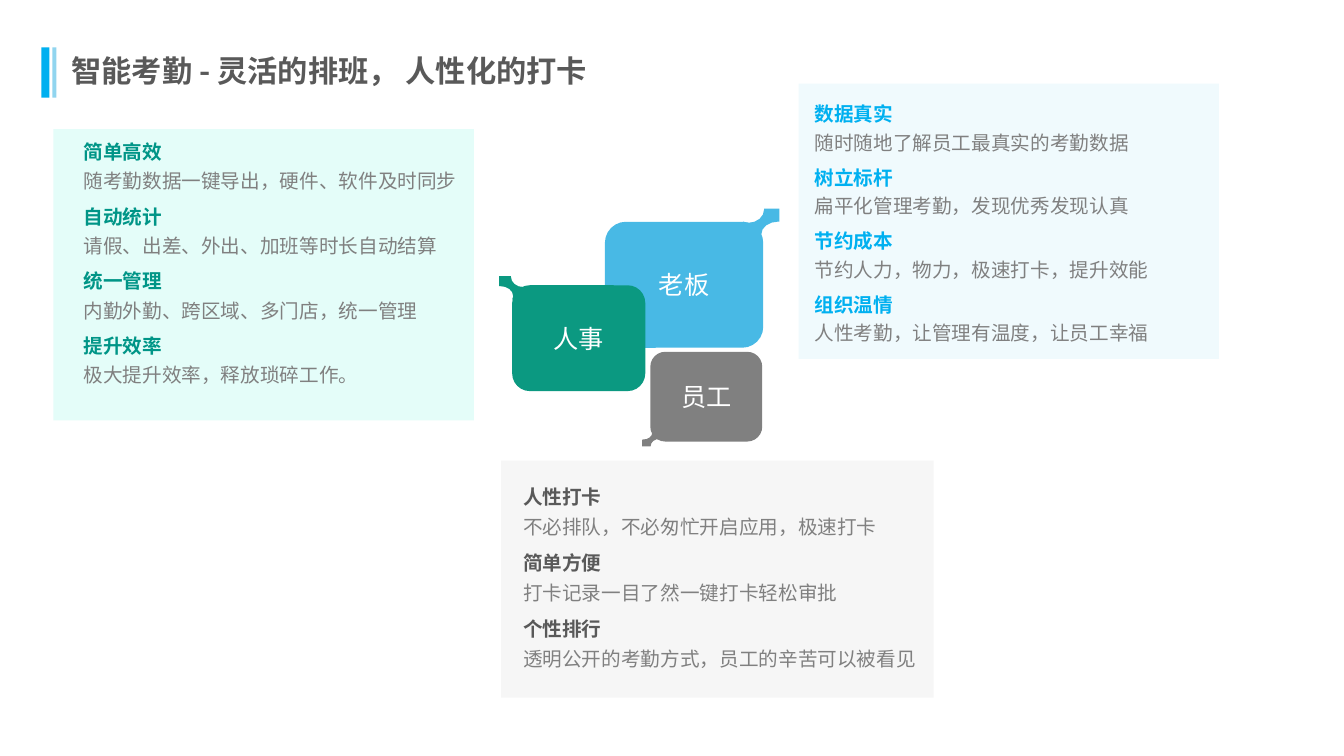
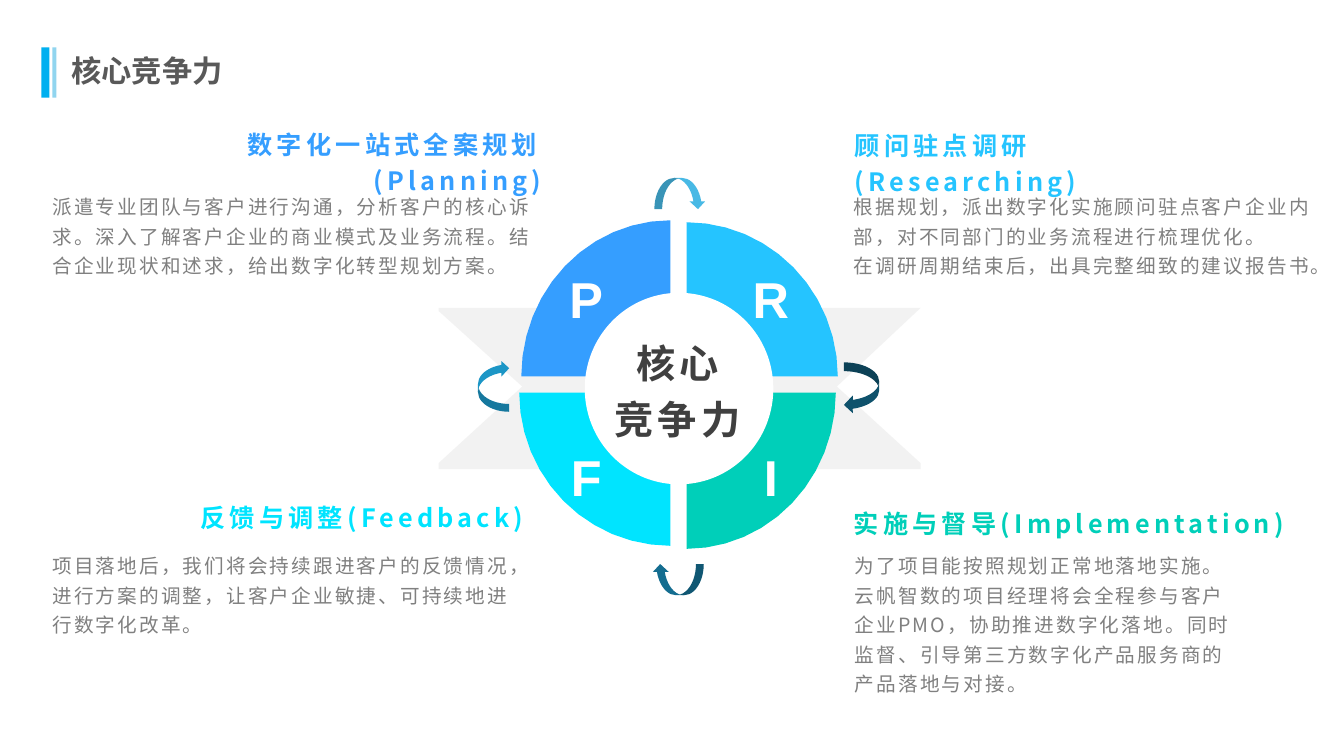
from collections import namedtuple
from dataclasses import dataclass
from math import cos, pi, sin

from lxml.etree import SubElement
from pptx import Presentation
from pptx.dml.color import RGBColor
from pptx.enum.shapes import MSO_SHAPE as Shape
from pptx.enum.text import MSO_ANCHOR as Anchor, MSO_AUTO_SIZE as AutoSize, PP_ALIGN as Align
from pptx.oxml.ns import qn
from pptx.util import Inches, Pt

Box = namedtuple("Box", "left top width height")


@dataclass(frozen=True)
class Theme:
    sans: str = "Noto Sans CJK SC"
    latin: str = "Arial"
    title_size: float = 21.6
    body_size: int = 14
    label_size: int = 18
    hub_size: int = 28
    letter_size: int = 36
    white: str = "FFFFFF"
    dark: str = "595959"
    hub: str = "404040"
    gray: str = "808080"
    band: str = "00B0F0"
    band_light: str = "91D5EF"
    boss: str = "48B9E5"
    hr: str = "0B9981"
    hr_heading: str = "009587"
    boss_panel: str = "F0FAFD"
    hr_panel: str = "E4FDF9"
    staff_panel: str = "F6F6F6"
    ribbon: str = "F2F2F2"
    planning: str = "359EFF"
    researching: str = "25C4FF"
    feedback: str = "00E4FF"
    implementation: str = "00CFB9"
    arrow_right: str = "0F526C"
    arrow_bottom: str = "146D90"
    arrow_left: str = "1C96C6"


THEME = Theme()


# Basic parts
def paint(shape, color):
    shape.shadow.inherit = False
    shape.fill.solid()
    shape.fill.fore_color.rgb = RGBColor.from_string(color)
    shape.line.fill.background()
    return shape


def add_block(page, kind, box, color, rotation=0):
    shape = paint(page.shapes.add_shape(kind, *map(Inches, box)), color)
    shape.rotation = rotation
    return shape


def add_outline(page, points, color):
    start, *others = [(Inches(x), Inches(y)) for x, y in points]
    builder = page.shapes.build_freeform(*start)
    builder.add_line_segments(others, close=True)
    return paint(builder.convert_to_shape(), color)


def bezier(start, first, second, end, steps=4):
    """Points along a cubic curve, without its start."""
    curve = []
    for step in range(1, steps + 1):
        t = step / steps
        weights = ((1 - t) ** 3, 3 * t * (1 - t) ** 2, 3 * t * t * (1 - t), t ** 3)
        curve.append(tuple(sum(w * p[axis] for w, p in zip(weights, (start, first, second, end)))
                           for axis in (0, 1)))
    return curve


def write_para(para, text, size=THEME.body_size, color=THEME.gray, bold=False, font=THEME.sans,
               align=Align.LEFT, line_spacing=1.0, tracking=0):
    para.alignment = align
    para.line_spacing = line_spacing
    span = para.add_run()
    span.text = text
    span.font.size = Pt(size)
    span.font.bold = bold
    span.font.color.rgb = RGBColor.from_string(color)
    span.font.name = font
    props = span.font._element
    SubElement(props, qn("a:ea")).set("typeface", font)
    if tracking:
        props.set("spc", str(int(tracking * 100)))


def fill_frame(frame, texts, anchor=Anchor.TOP, insets=(0.1, 0.05, 0.1, 0.05), grow=False,
               **style):
    """Write texts, each a string or a pair of string and own format."""
    frame.word_wrap = True
    frame.auto_size = AutoSize.SHAPE_TO_FIT_TEXT if grow else AutoSize.NONE
    frame.vertical_anchor = anchor
    (frame.margin_left, frame.margin_top,
     frame.margin_right, frame.margin_bottom) = map(Inches, insets)
    for index, item in enumerate(texts):
        text, own = (item, {}) if isinstance(item, str) else item
        para = frame.add_paragraph() if index else frame.paragraphs[0]
        write_para(para, text, **{**style, **own})


def add_text(page, box, *texts, **style):
    fill_frame(page.shapes.add_textbox(*map(Inches, box)).text_frame, texts, **style)


def add_page(deck, title):
    page = deck.slides.add_slide(deck.slide_layouts[6])
    add_block(page, Shape.RECTANGLE, Box(0.52, 0.47, 0.04, 0.5), THEME.band_light)
    add_block(page, Shape.RECTANGLE, Box(0.41, 0.47, 0.08, 0.5), THEME.band)
    add_text(page, Box(0.61, 0.46, 10.26, 0.48), title, size=THEME.title_size,
             color=THEME.dark, bold=True, anchor=Anchor.MIDDLE)
    return page


# Attendance slide
def add_panel(page, box, fill, accent, offset, spacing, entries):
    add_block(page, Shape.RECTANGLE, box, fill)
    dx, dy = offset
    texts = []
    for index, (heading, detail) in enumerate(entries):
        heading_spacing = 1.5 if index else spacing
        texts.append((heading, dict(color=accent, bold=True, line_spacing=heading_spacing)))
        texts.append((detail, dict(line_spacing=spacing)))
    add_text(page, Box(box.left + dx, box.top + dy, box.width - dx, box.height), *texts)


def add_tile(page, box, label, color):
    tile = add_block(page, Shape.ROUNDED_RECTANGLE, box, color)
    fill_frame(tile.text_frame, [label], anchor=Anchor.MIDDLE, align=Align.CENTER,
               size=THEME.label_size, color=THEME.white)


def add_flare(page, box, color, flip_x=False, flip_y=False):
    """A curved link that points up and right unless flipped."""
    unit = [(0.58, 0), (1, 0), (1, 0.43), (0.97, 0.43)]
    unit += bezier(unit[-1], (0.72, 0.43), (0.5, 0.6), (0.5, 0.87))
    unit += [(0.53, 1), (0, 1), (0, 0.43), (0.14, 0.47)]
    unit += bezier(unit[-1], (0.39, 0.47), (0.58, 0.27), (0.58, 0.03))
    points = [(box.left + box.width * (1 - x if flip_x else x),
               box.top + box.height * (1 - y if flip_y else y)) for x, y in unit]
    add_outline(page, points, color)


def build_attendance(deck):
    page = add_page(deck, "智能考勤 - 灵活的排班， 人性化的打卡")

    # Text panels
    add_panel(page, Box(4.97, 4.57, 4.29, 2.35), THEME.staff_panel, THEME.dark, (0.12, 0.12), 1.3, [
        ("人性打卡", "不必排队，不必匆忙开启应用，极速打卡"),
        ("简单方便", "打卡记录一目了然一键打卡轻松审批"),
        ("个性排行", "透明公开的考勤方式，员工的辛苦可以被看见"),
    ])
    add_panel(page, Box(0.53, 1.28, 4.17, 2.89), THEME.hr_panel, THEME.hr_heading, (0.2, 0), 1.25, [
        ("简单高效", "随考勤数据一键导出，硬件、软件及时同步"),
        ("自动统计", "请假、出差、外出、加班等时长自动结算"),
        ("统一管理", "内勤外勤、跨区域、多门店，统一管理"),
        ("提升效率", "极大提升效率，释放琐碎工作。"),
    ])
    add_panel(page, Box(7.92, 0.83, 4.17, 2.73), THEME.boss_panel, THEME.band, (0.06, 0.09), 1.2, [
        ("数据真实", "随时随地了解员工最真实的考勤数据"),
        ("树立标杆", "扁平化管理考勤，发现优秀发现认真"),
        ("节约成本", "节约人力，物力，极速打卡，提升效能"),
        ("组织温情", "人性考勤，让管理有温度，让员工幸福"),
    ])

    # Role tiles and their links
    add_tile(page, Box(6, 2.2, 1.57, 1.25), "老板", THEME.boss)
    add_tile(page, Box(5.08, 2.83, 1.32, 1.05), "人事", THEME.hr)
    add_tile(page, Box(6.45, 3.49, 1.11, 0.89), "员工", THEME.gray)
    add_flare(page, Box(7.37, 2.07, 0.36, 0.3), THEME.boss)
    add_flare(page, Box(4.95, 2.74, 0.28, 0.23), THEME.hr, flip_x=True)
    add_flare(page, Box(6.37, 4.27, 0.2, 0.16), THEME.gray, flip_x=True, flip_y=True)


# Strengths slide
def add_topic(page, box, heading, color, heading_left, heading_width, rise, *details,
              align=Align.LEFT):
    """Body text in the box, with its heading above by the given rise."""
    add_text(page, box, *details, line_spacing=1.25, tracking=1.5, insets=(0.1, 0, 0.1, 0.05))
    add_text(page, Box(heading_left, box.top - rise, heading_width, 0.41), heading,
             size=THEME.label_size, color=color, bold=True, tracking=3, line_spacing=1.2,
             align=align, anchor=Anchor.MIDDLE, insets=(0.1, 0.05, 0.1, 0), grow=True)


def add_quarter(page, corner, reach, color):
    """A quarter disc; the signs of reach set its direction from the corner."""
    (x, y), (rx, ry) = corner, reach
    steps = 12
    angles = [pi / 2 * step / steps for step in range(steps + 1)]
    add_outline(page, [corner] + [(x + rx * cos(a), y + ry * sin(a)) for a in angles], color)


def add_wheel(page, box):
    """Ribbon, four quarters, hub and turning arrows around the box centre."""
    cx, cy = box.left + box.width / 2, box.top + box.height / 2
    gap = 0.08

    # Ribbon with notched ends
    half_width, half_height, notch = 2.39, 0.8, 0.83
    ribbon_x, ribbon_y = cx + 0.01, cy + 0.04
    right, left = ribbon_x + half_width, ribbon_x - half_width
    top, bottom = ribbon_y - half_height, ribbon_y + half_height
    middle = ribbon_y - 0.02
    add_outline(page, [
        (left, top), (right, top), (right - notch, middle), (right, bottom - 0.06),
        (right, bottom), (left, bottom), (left, bottom - 0.06), (left + notch, middle),
        (left, top + 0.03)], THEME.ribbon)

    # Quarters
    quarters = [
        ("P", -1, -1, 1.48, 1.55, THEME.planning),
        ("R", 1, -1, 1.5, 1.53, THEME.researching),
        ("F", -1, 1, 1.5, 1.52, THEME.feedback),
        ("I", 1, 1, 1.48, 1.55, THEME.implementation),
    ]
    for _, sx, sy, rx, ry, color in quarters:
        add_quarter(page, (cx + sx * gap, cy + sy * gap), (sx * rx, sy * ry), color)

    # Hub and letters
    add_block(page, Shape.OVAL, Box(cx - 0.93, cy - 0.91, 1.87, 1.9), THEME.white)
    for letter, sx, sy, *_ in quarters:
        add_text(page, Box(cx + sx * 0.915 - 0.485, cy + 0.03 + sy * 0.885 - 0.35, 0.97, 0.7),
                 letter, size=THEME.letter_size, color=THEME.white, bold=True,
                 font=THEME.latin, align=Align.CENTER, anchor=Anchor.MIDDLE)
    add_text(page, Box(cx - 0.82, cy - 0.5, 1.62, 1.03), "核心", "竞争力",
             size=THEME.hub_size, color=THEME.hub, bold=True, tracking=3, line_spacing=1.2,
             align=Align.CENTER, anchor=Anchor.MIDDLE)

    # Turning arrows, clockwise from the top
    for index, (dx, dy, height, color) in enumerate([
            (-0.24, -2.05, 0.31, THEME.boss), (1.56, -0.14, 0.35, THEME.arrow_right),
            (-0.26, 1.78, 0.31, THEME.arrow_bottom), (-2.09, -0.14, 0.31, THEME.arrow_left)]):
        add_block(page, Shape.CURVED_DOWN_ARROW, Box(cx + dx, cy + dy, 0.51, height), color,
                  rotation=90 * index)


def build_strengths(deck):
    page = add_page(deck, "核心竞争力")
    add_topic(page, Box(8.37, 1.88, 4.79, 0.84), "顾问驻点调研(Researching)",
              THEME.researching, 8.38, 4.04, 0.52,
              "根据规划，派出数字化实施顾问驻点客户企业内部，对不同部门的业务流程进行梳理优化。",
              "在调研周期结束后，出具完整细致的建议报告书。")
    add_topic(page, Box(8.38, 5.44, 4.01, 1.28), "实施与督导(Implementation)",
              THEME.implementation, 8.37, 4.54, 0.51,
              "为了项目能按照规划正常地落地实施。云帆智数的项目经理将会全程参与客户企业PMO，"
              "协助推进数字化落地。同时监督、引导第三方数字化产品服务商的产品落地与对接。")
    add_topic(page, Box(0.42, 1.88, 5.05, 0.84), "数字化一站式全案规划(Planning)",
              THEME.planning, 0.8, 4.67, 0.53,
              "派遣专业团队与客户进行沟通，分析客户的核心诉求。深入了解客户企业的商业模式及业务流程。"
              "结合企业现状和述求，给出数字化转型规划方案。", align=Align.RIGHT)
    add_topic(page, Box(0.42, 5.44, 4.85, 0.84), "反馈与调整(Feedback)",
              THEME.feedback, 0.77, 4.52, 0.57,
              "项目落地后，我们将会持续跟进客户的反馈情况，进行方案的调整，"
              "让客户企业敏捷、可持续地进行数字化改革。", align=Align.RIGHT)
    add_wheel(page, Box(5.15, 2.19, 3.16, 3.25))


def main():
    deck = Presentation()
    deck.slide_width, deck.slide_height = Inches(13.33), Inches(7.5)
    build_attendance(deck)
    build_strengths(deck)
    deck.save("out.pptx")


if __name__ == "__main__":
    main()
